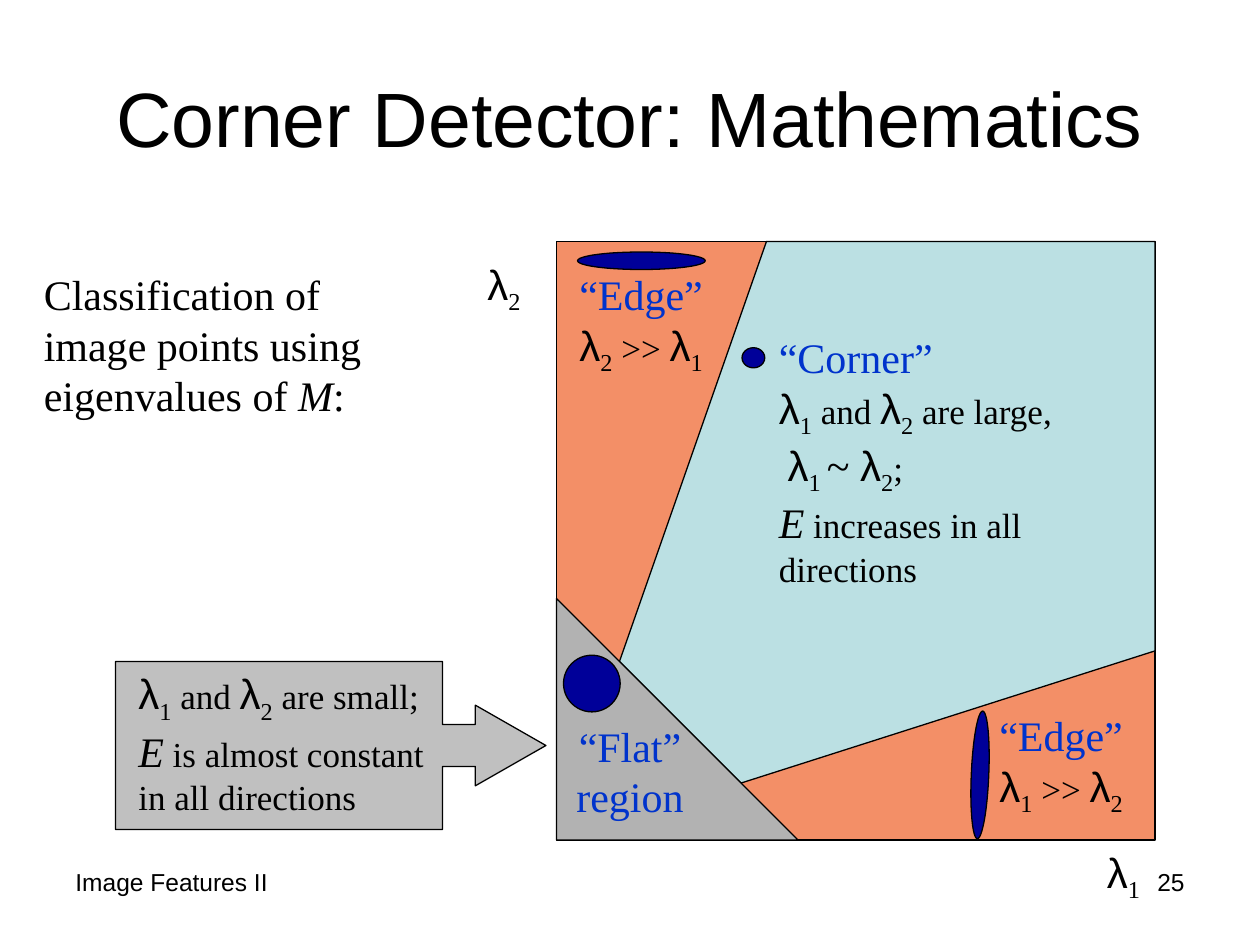
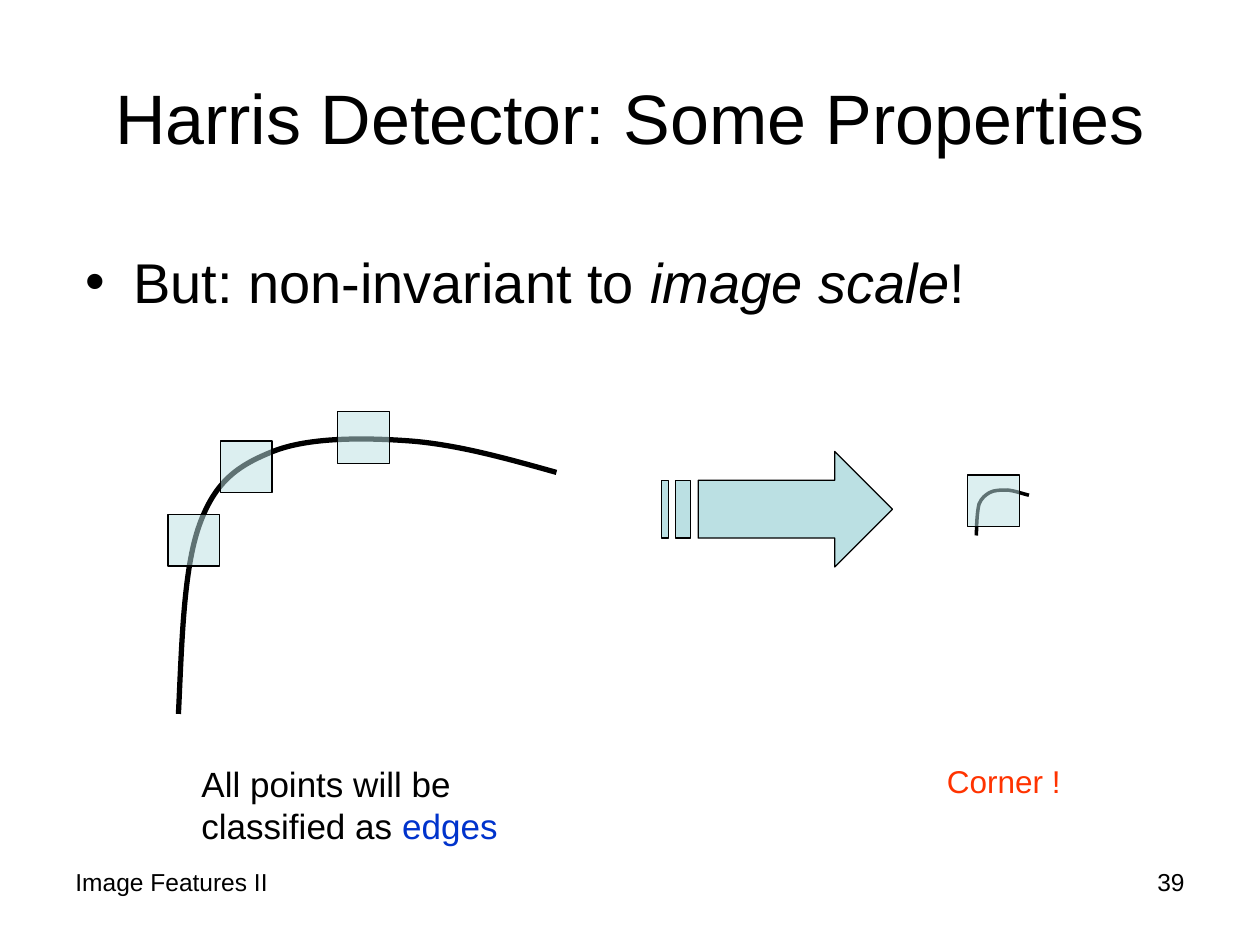
from dataclasses import dataclass

from lxml.etree import SubElement
from pptx import Presentation
from pptx.dml.color import RGBColor
from pptx.enum.shapes import MSO_SHAPE
from pptx.enum.text import MSO_ANCHOR, MSO_AUTO_SIZE, PP_ALIGN
from pptx.oxml.ns import qn
from pptx.util import Pt


@dataclass(frozen=True)
class Theme:
    sans: str = "Arial"
    serif: str = "Times New Roman"
    ink: str = "000000"
    term: str = "0033CC"
    alert: str = "FF3300"
    edge: str = "F38F67"
    corner: str = "BBE0E3"
    flat: str = "B2B2B2"
    callout: str = "C0C0C0"
    ellipse: str = "000099"
    hairline: float = 0.75
    bullet: int = 32
    symbol: int = 24
    note: int = 20
    verdict: int = 18
    footer: int = 14


THEME = Theme()


@dataclass(frozen=True)
class Span:
    """A stretch of text; None keeps the setting of its paragraph."""
    text: str
    size: float = None
    face: str = None
    color: str = None
    italic: bool = None
    subscript: bool = False


def eigenvalue(index, after=""):
    return [Span("λ", face=THEME.sans), Span(index + after, subscript=True)]


def term(text):
    return Span(text, color=THEME.term)


def note(text):
    return Span(text, size=THEME.note)


def set_font(font, size=None, face=None, color=None, italic=None):
    if size:
        font.size = Pt(size)
    if face:
        font.name = face
    if color:
        font.color.rgb = RGBColor.from_string(color)
    if italic is not None:
        font.italic = italic


def add_spans(paragraph, spans):
    """Append spans to a paragraph; a newline inside a span is a line break."""
    for span in spans:
        for number, piece in enumerate(span.text.split("\n")):
            if number:
                paragraph.add_line_break()
            if not piece:
                continue
            run = paragraph.add_run()
            run.text = piece
            set_font(run.font, span.size, span.face, span.color, span.italic)
            if span.subscript:
                run.font._element.set("baseline", "-25000")


def add_text(slide, box, spans, size=THEME.symbol, face=THEME.serif,
             color=THEME.ink, align=PP_ALIGN.LEFT, bullet=False):
    frame = slide.shapes.add_textbox(*map(Pt, box)).text_frame
    frame.word_wrap = True
    paragraph = frame.paragraphs[0]
    paragraph.alignment = align
    if bullet:
        properties = paragraph._p.get_or_add_pPr()
        properties.set("marL", str(Pt(27)))
        properties.set("indent", str(-Pt(27)))
        SubElement(properties, qn("a:buFont")).set("typeface", THEME.sans)
        SubElement(properties, qn("a:buChar")).set("char", "•")
    set_font(paragraph.font, size, face, color)
    add_spans(paragraph, spans)


def paint(shape, fill=None, width=THEME.hairline):
    shape.shadow.inherit = False
    if fill:
        shape.fill.solid()
        shape.fill.fore_color.rgb = RGBColor.from_string(fill)
    else:
        shape.fill.background()
    shape.line.color.rgb = RGBColor.from_string(THEME.ink)
    shape.line.width = Pt(width)
    return shape


def add_preset(slide, preset, box, fill):
    return paint(slide.shapes.add_shape(preset, *map(Pt, box)), fill)


def to_emu(points):
    return [(Pt(x), Pt(y)) for x, y in points]


def add_outline(slide, contours, fill):
    """Draw closed polygons as one freeform."""
    first, *others = map(to_emu, contours)
    builder = slide.shapes.build_freeform(*first[0])
    builder.add_line_segments(first[1:], close=True)
    for contour in others:
        builder.move_to(*contour[0])
        builder.add_line_segments(contour[1:], close=True)
    return paint(builder.convert_to_shape(), fill)


def add_curve(slide, points, width):
    """Draw a start point and triples of cubic control points."""
    start, *controls = to_emu(points)
    builder = slide.shapes.build_freeform(*start)
    builder.add_line_segments(controls, close=False)
    curve = paint(builder.convert_to_shape(), width=width)
    outline = next(curve._element.iter(qn("a:path")))
    segments = outline.findall(qn("a:lnTo"))
    for first in range(0, len(segments), 3):
        cubic = SubElement(outline, qn("a:cubicBezTo"))
        for segment in segments[first:first + 3]:
            cubic.append(segment[0])
            outline.remove(segment)


def add_window(slide, left, top):
    window = add_preset(slide, MSO_SHAPE.RECTANGLE, (left, top, 29.5, 29.5),
                        THEME.corner)
    color = next(window._element.spPr.iter(qn("a:srgbClr")))
    SubElement(color, qn("a:alpha")).set("val", "51000")


def start_slide(deck, heading, heading_size, number):
    slide = deck.slides.add_slide(deck.slide_layouts[5])
    title = slide.shapes.title
    title.left, title.top, title.width, title.height = map(Pt, (36, 21.6, 648, 90))
    frame = title.text_frame
    frame.text = heading
    frame.auto_size = MSO_AUTO_SIZE.NONE
    frame.vertical_anchor = MSO_ANCHOR.MIDDLE
    paragraph = frame.paragraphs[0]
    paragraph.alignment = PP_ALIGN.CENTER
    set_font(paragraph.font, heading_size, THEME.sans, THEME.ink)
    for left, text, align in ((36, "Image Features II", PP_ALIGN.LEFT),
                              (516, number, PP_ALIGN.RIGHT)):
        add_text(slide, (left, 492, 168, 37.5), [Span(text)], THEME.footer,
                 THEME.sans, align=align)
    return slide


def add_edge_label(slide, left, top, larger, smaller):
    add_text(slide, (left, top, 102, 68),
             [term("“Edge”\n"), *eigenvalue(larger), note(" >> "),
              *eigenvalue(smaller)])


def build_mathematics(deck):
    slide = start_slide(deck, "Corner Detector: Mathematics", 44, "25")
    callout = add_preset(slide, MSO_SHAPE.RIGHT_ARROW_CALLOUT,
                         (66, 378, 246, 96), THEME.callout)
    for index, value in enumerate((0.25, 0.24, 0.42, 0.76)):
        callout.adjustments[index] = value

    add_preset(slide, MSO_SHAPE.RECTANGLE, (318, 138, 342, 342), THEME.edge)
    add_outline(slide, [[(354, 378), (438, 138), (660, 138), (660, 372),
                         (423.5, 447.5)]], THEME.corner)
    add_preset(slide, MSO_SHAPE.RIGHT_TRIANGLE, (318, 342, 138, 138), THEME.flat)

    for box, index in (((612, 480, 60, 40), "1"), ((246, 144, 84, 40), "2")):
        add_text(slide, box, eigenvalue(index), align=PP_ALIGN.CENTER)
    add_text(slide, (438, 186, 210, 154), [
        term("“Corner”\n"), *eigenvalue("1"), note(" and "), *eigenvalue("2"),
        note(" are large,\n "), *eigenvalue("1", " "), Span("~ "),
        *eigenvalue("2"), note(";\n"), Span("E", italic=True),
        note(" increases in all directions")])
    add_text(slide, (72, 378, 186, 93), [
        *eigenvalue("1"), note(" and "), *eigenvalue("2"),
        note(" are small;\n"), Span("E", italic=True),
        note(" is almost constant in all directions")])
    add_edge_label(slide, 564, 402, "1", "2")
    add_edge_label(slide, 324, 150, "2", "1")
    add_text(slide, (312, 408, 96, 65), [Span("“Flat” region")],
             color=THEME.term, align=PP_ALIGN.CENTER)
    add_text(slide, (18, 150, 210, 94), [
        Span("Classification of image points using eigenvalues of "),
        Span("M", italic=True), Span(":")])

    for box, rotation in (((424, 198.7, 13, 11.5), 0),
                          ((330, 144, 73, 10), 0),
                          ((322, 374.4, 32.4, 32.4), 0),
                          ((523.5, 437.8, 73, 10), 92.4)):
        ellipse = add_preset(slide, MSO_SHAPE.OVAL, box, THEME.ellipse)
        ellipse.rotation = rotation


def build_properties(deck):
    slide = start_slide(deck, "Harris Detector: Some Properties", 40, "39")
    add_text(slide, (42, 138, 612, 324),
             [Span("But: non-invariant to "), Span("image scale", italic=True),
              Span("!")], THEME.bullet, THEME.sans, bullet=True)

    add_curve(slide, [(558, 306), (558, 299, ), (558.5, 292), (559.5, 288),
                      (561, 284.5), (563, 283), (565.5, 281.5),
                      (568, 280), (572, 280), (576, 280),
                      (580, 280.5), (584, 282), (588, 283)], 2)
    add_window(slide, 553, 271.5)
    add_curve(slide, [(102, 408), (104, 366), (105, 325), (114, 300),
                      (123, 275), (136, 266), (156, 258),
                      (176, 250), (207, 250), (234, 252),
                      (261, 254), (289.5, 262), (318, 270)], 3)
    for left, top in ((96, 294), (126, 252), (193, 235.3)):
        add_window(slide, left, top)

    middle, half_shaft, half_head = 291, 16.5, 33
    top, bottom = middle - half_shaft, middle + half_shaft
    arrow = [(477, middle - half_head), (477, top), (399, top), (399, bottom),
             (477, bottom), (477, middle + half_head), (510, middle)]
    stripes = [[(left, top), (left, bottom), (right, bottom), (right, top)]
               for left, right in ((386, 394.5), (378, 382))]
    add_outline(slide, [arrow, *stripes], THEME.corner)

    add_text(slide, (108, 432, 204, 55),
             [Span("All points will be classified as "), term("edges")],
             THEME.note, THEME.sans)
    add_text(slide, (534, 432, 108, 29), [Span("Corner !")],
             THEME.verdict, THEME.sans, THEME.alert)


def main():
    deck = Presentation()
    deck.slide_width, deck.slide_height = Pt(720), Pt(540)
    build_mathematics(deck)
    build_properties(deck)
    deck.save("out.pptx")


if __name__ == "__main__":
    main()
